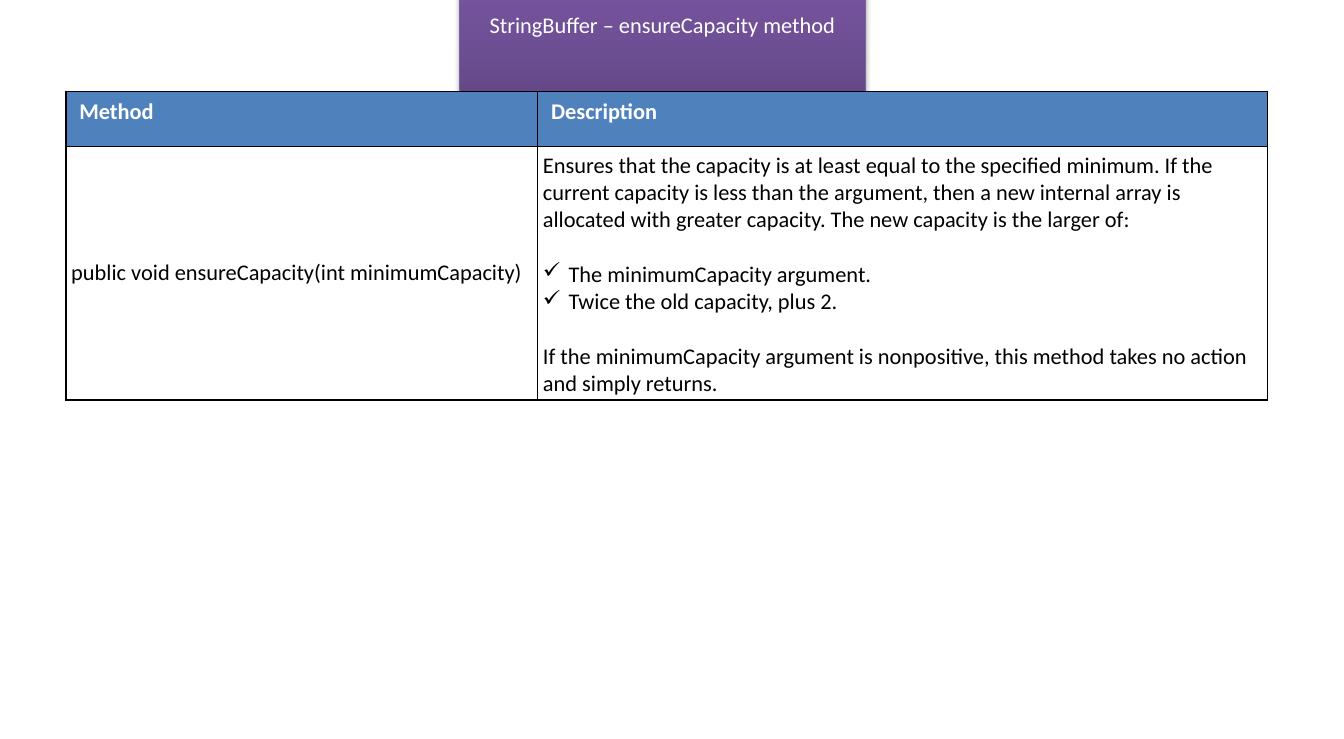
from copy import deepcopy
from dataclasses import dataclass

from lxml import etree
from pptx import Presentation
from pptx.dml.color import RGBColor
from pptx.enum.text import MSO_ANCHOR, MSO_AUTO_SIZE, PP_ALIGN
from pptx.oxml import parse_xml
from pptx.oxml.ns import nsdecls, qn
from pptx.util import Inches, Pt

MIDDLE, TOP = MSO_ANCHOR.MIDDLE, MSO_ANCHOR.TOP
CENTER, LEFT = PP_ALIGN.CENTER, PP_ALIGN.LEFT
GROW = MSO_AUTO_SIZE.SHAPE_TO_FIT_TEXT
TITLE_ONLY = 5


@dataclass(frozen=True)
class Theme:
    font: str = "Calibri"
    size: float = 12
    line_height: float = 14.65
    light: str = "FFFFFF"
    dark: str = "000000"
    header: str = "4F81BD"
    title_line: str = "7D60A0"
    title_stops: tuple = ((0, "5F4480"), (0.8, "7B58A6"), (1, "7C57A8"))


@dataclass(frozen=True)
class Line:
    text: str
    bullet: str = ""
    gap: bool = False


@dataclass(frozen=True)
class CellStyle:
    fill: str
    color: str
    bold: bool
    anchor: MSO_ANCHOR
    margins: tuple  # left and right, top and bottom


THEME = Theme()
HEADER = CellStyle(THEME.header, THEME.light, True, TOP, (0.1, 0.05))
BODY = CellStyle(THEME.light, THEME.dark, False, MIDDLE, (0.04, 0.04))

TITLE = "StringBuffer – ensureCapacity method"
COLUMNS = (3.51, 5.43)
ROWS = (
    (0.41, HEADER, ((Line("Method"),), (Line("Description"),))),
    (1.88, BODY, (
        (Line("public void ensureCapacity(int minimumCapacity)"),),
        (
            Line("Ensures that the capacity is at least equal to the specified minimum. "
                 "If the current capacity is less than the argument, then a new internal "
                 "array is allocated with greater capacity. The new capacity is the larger of:"),
            Line("The minimumCapacity argument.", "✓", gap=True),
            Line("Twice the old capacity, plus 2.", "✓"),
            Line("If the minimumCapacity argument is nonpositive, this method takes no "
                 "action and simply returns.", gap=True),
        ),
    )),
)


def format_font(font, color: str, bold: bool = False) -> None:
    values = {"name": THEME.font, "size": Pt(THEME.size), "bold": bold}
    for name, value in values.items():
        setattr(font, name, value)
    font.color.rgb = RGBColor.from_string(color)


def add_bullet(para, mark: str) -> None:
    properties = para._p.get_or_add_pPr()
    indent = Inches(0.19)
    properties.set("marL", str(indent))
    properties.set("indent", str(-indent))
    etree.SubElement(properties, qn("a:buChar"), char=mark)


def add_shadow(shape) -> None:
    shape._element.spPr.append(parse_xml(
        f'<a:effectLst {nsdecls("a")}>'
        f'<a:outerShdw blurRad="{Pt(3.1)}" dist="{Pt(1.8)}" dir="5400000" rotWithShape="0">'
        f'<a:srgbClr val="{THEME.dark}"><a:alpha val="35000"/></a:srgbClr>'
        '</a:outerShdw></a:effectLst>'))


def draw_title(slide) -> None:
    title = slide.shapes.title
    place = {"left": 3.42, "top": 0.03, "width": 3.02, "height": 0.3}
    for name, value in place.items():
        setattr(title, name, Inches(value))

    title.fill.gradient()
    title.fill.gradient_angle = 90
    stop_list = title._element.spPr.find(".//" + qn("a:gsLst"))
    stop_list.append(deepcopy(stop_list[-1]))
    for stop, (position, color) in zip(title.fill.gradient_stops, THEME.title_stops):
        stop.position = position
        stop.color.rgb = RGBColor.from_string(color)
    title.line.color.rgb = RGBColor.from_string(THEME.title_line)
    title.line.width = Pt(0.75)
    add_shadow(title)

    frame = title.text_frame
    frame.text = TITLE
    layout = {"word_wrap": True, "auto_size": GROW, "vertical_anchor": MIDDLE}
    for name, value in layout.items():
        setattr(frame, name, value)
    para = frame.paragraphs[0]
    para.alignment = CENTER
    format_font(para.runs[0].font, THEME.light)


def add_borders(cell) -> None:
    properties = cell._tc.get_or_add_tcPr()
    for side in ("lnL", "lnR", "lnT", "lnB"):
        properties.append(parse_xml(
            f'<a:{side} {nsdecls("a")} w="{Pt(1)}"><a:solidFill>'
            f'<a:srgbClr val="{THEME.dark}"/></a:solidFill></a:{side}>'))


def draw_cell(cell, lines: tuple[Line, ...], style: CellStyle) -> None:
    add_borders(cell)
    cell.fill.solid()
    cell.fill.fore_color.rgb = RGBColor.from_string(style.fill)
    cell.vertical_anchor = style.anchor
    across, down = (Inches(margin) for margin in style.margins)
    margins = {"left": across, "right": across, "top": down, "bottom": down}
    for side, value in margins.items():
        setattr(cell, f"margin_{side}", value)

    frame = cell.text_frame
    for index, line in enumerate(lines):
        para = frame.add_paragraph() if index else frame.paragraphs[0]
        if line.bullet:
            add_bullet(para, line.bullet)
        para.alignment = LEFT
        if line.gap:
            para.space_before = Pt(THEME.line_height)
        span = para.add_run()
        span.text = line.text
        format_font(span.font, style.color, style.bold)


def draw_table(slide) -> None:
    height = sum(row[0] for row in ROWS)
    table = slide.shapes.add_table(
        len(ROWS), len(COLUMNS), Inches(0.49), Inches(0.68),
        Inches(sum(COLUMNS)), Inches(height)).table
    table.horz_banding = False
    for column, width in zip(table.columns, COLUMNS):
        column.width = Inches(width)
    for row, (row_height, style, contents) in zip(table.rows, ROWS):
        row.height = Inches(row_height)
        for cell, lines in zip(row.cells, contents):
            draw_cell(cell, lines, style)


def main() -> None:
    deck = Presentation()
    deck.slide_width, deck.slide_height = Inches(10), Inches(5.5)
    slide = deck.slides.add_slide(deck.slide_layouts[TITLE_ONLY])
    draw_title(slide)
    draw_table(slide)
    deck.save("out.pptx")


if __name__ == "__main__":
    main()
